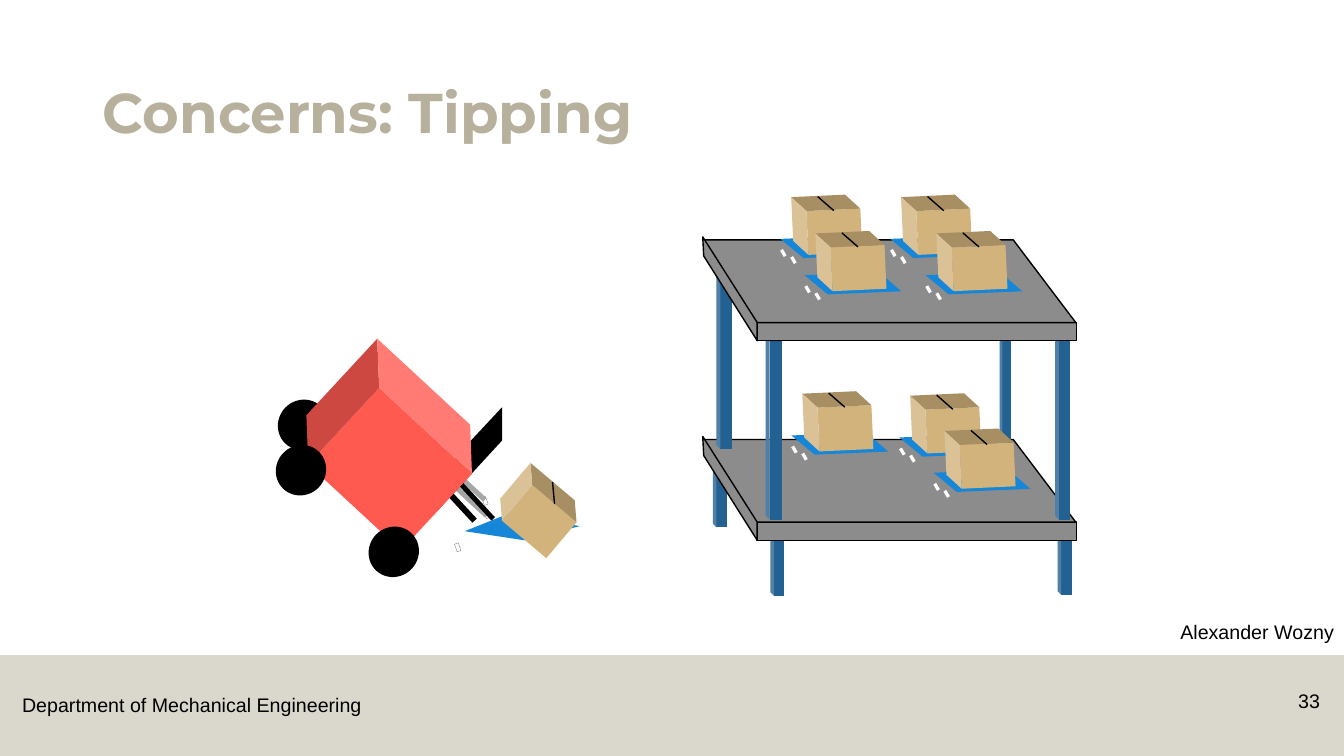
from lxml.etree import SubElement
from pptx import Presentation
from pptx.dml.color import RGBColor
from pptx.enum.shapes import MSO_CONNECTOR, MSO_SHAPE
from pptx.enum.text import MSO_ANCHOR, PP_ALIGN
from pptx.oxml.ns import qn
from pptx.util import Inches, Pt

BLACK, WHITE, SAND = "000000", "FFFFFF", "B7B09C"
STEEL, SHELF, CARTON, MAT, RED = "236192", "8C8C8C", "D3B37C", "1686D9", "FF5A50"
RECT, CUBE, OVAL = MSO_SHAPE.RECTANGLE, MSO_SHAPE.CUBE, MSO_SHAPE.OVAL

BODY = {"name": "Arial", "size": Pt(14), "bold": False}
HEADING = {"name": "Montserrat", "size": Pt(40), "bold": True}
LEFT, RIGHT = PP_ALIGN.LEFT, PP_ALIGN.RIGHT
TOP, BOTTOM = MSO_ANCHOR.TOP, MSO_ANCHOR.BOTTOM

LABELS = [
    ("Department of Mechanical Engineering", (0.12, 6.83, 3.59, 0.34), BODY, BLACK, LEFT, TOP, False),
    ("Concerns: Tipping", (0.92, 0.4, 11.5, 1.09), HEADING, SAND, LEFT, BOTTOM, True),
    ("33", (12.42, 6.79, 0.77, 0.4), BODY, BLACK, RIGHT, TOP, True),
    ("Alexander Wozny", (8.83, 6.1, 4.5, 0.4), BODY, BLACK, RIGHT, TOP, True),
]

SPILLED_MAT = [(4.61, 5.27), (5.2, 5.36), (5.75, 5.22), (5.06, 5.09)]
SPILLED_CARTON = (5.03, 4.7, 0.62, 0.73)
SPILLED_TAPE = [(5.48, 4.78), (5.5, 5)]
SPILLED_TAGS = [(4.83, 5.1), (4.81, 4.97)]
LOOSE_TAG = (4.54, 5.43)
GREY_FORKS = [(4.34, 4.75, 0.54, 0.05), (4.36, 4.91, 0.54, 0.05)]
BLACK_FORKS = [(4.06, 4.76, 0.99, 0.05), (3.8, 4.74, 1.08, 0.06)]
MAST = [(4.98, 4.04), (4.98, 4.37), (4.3, 5.11), (4.13, 4.95)]
TRUCK_BODY = (3.06, 3.72, 1.6, 1.38)
REAR_WHEEL = (2.76, 3.96)
NEAR_WHEELS = [(2.74, 4.41), (3.66, 5.22)]
TRUCK_TILT = 42.8

FEET = [(10.24, 5.51, 0.64, 0.14), (7.39, 5.52, 0.64, 0.14), (6.82, 4.84, 0.64, 0.14)]
POSTS = [(6.28, 3.47, 1.81, 0.16), (8.98, 3.48, 1.98, 0.11),
         (9.63, 4.17, 1.82, 0.15), (6.77, 4.17, 1.81, 0.16)]
UPPER_SHELF, LOWER_SHELF = 2.35, 4.33
SHELF_TOP = [(6.97, 0.03), (10.05, 0.03), (10.67, 0.85), (7.5, 0.85)]
SHELF_SIDE = [(6.97, 0), (7.51, 0.85), (7.51, 1.03), (6.98, 0.19)]

PALLETS = [(7.82, 2.06), (8.91, 2.06), (8.06, 2.42), (9.26, 2.42),
           (7.93, 4.01), (9, 4.03), (9.34, 4.38)]
PALLET_MAT = [(-0.08, 0.31), (0.15, 0.5), (0.88, 0.47), (0.66, 0.28)]
PALLET_TAPE = [(0.29, -0.11), (0.45, 0.03)]
PALLET_TAGS = [(0.05, 0.52), (-0.05, 0.45)]


def color(text):
    return RGBColor.from_string(text)


def paint(shape, fill, line=None, width=1):
    shape.shadow.inherit = False
    shape.fill.solid()
    shape.fill.fore_color.rgb = color(fill)
    if line:
        shape.line.color.rgb = color(line)
        shape.line.width = Pt(width)
    else:
        shape.line.fill.background()
    return shape


def solid(shapes, kind, place, fill, angle=0, line=None, width=1, flip=False):
    shape = shapes.add_shape(kind, *map(Inches, place))
    shape.rotation = angle
    if flip:
        shape._element.spPr.find(qn("a:xfrm")).set("flipH", "1")
    return paint(shape, fill, line, width)


def outline(shapes, points, fill, line=None, width=1):
    corners = [(Inches(x), Inches(y)) for x, y in points]
    builder = shapes.build_freeform(*corners[0])
    builder.add_line_segments(corners[1:], close=True)
    return paint(builder.convert_to_shape(), fill, line, width)


def shift(points, left, top):
    return [(left + x, top + y) for x, y in points]


def tape(shapes, ends):
    (x1, y1), (x2, y2) = ends
    strip = shapes.add_connector(MSO_CONNECTOR.STRAIGHT, *map(Inches, (x1, y1, x2, y2)))
    strip.line.color.rgb = color(BLACK)
    strip.line.width = Pt(1)
    SubElement(strip._element.spPr, qn("a:effectLst"))


def tag(shapes, center, angle):
    x, y = center
    solid(shapes, RECT, (x - 0.02, y - 0.04, 0.04, 0.08), WHITE, angle, "7F7F7F", 0.25)


def label(shapes, text, place, style, tint, align, anchor, wrap):
    box = shapes.add_textbox(*map(Inches, place))
    frame = box.text_frame
    frame.word_wrap = wrap
    frame.vertical_anchor = anchor
    para = frame.paragraphs[0]
    para.alignment = align
    if style is HEADING:
        para.line_spacing = 0.9
    span = para.add_run()
    span.text = text
    for name, value in style.items():
        setattr(span.font, name, value)
    span.font.color.rgb = color(tint)


def wheel(shapes, corner):
    solid(shapes, OVAL, (*corner, 0.49, 0.51), BLACK, TRUCK_TILT)


def draw_truck(shapes):
    outline(shapes, SPILLED_MAT, MAT)
    solid(shapes, CUBE, SPILLED_CARTON, CARTON, 310.2)
    tape(shapes, SPILLED_TAPE)
    for center in SPILLED_TAGS:
        tag(shapes, center, 340)
    for place in GREY_FORKS:
        solid(shapes, RECT, place, "A6A6A6", TRUCK_TILT)
    wheel(shapes, REAR_WHEEL)
    for place in BLACK_FORKS:
        solid(shapes, RECT, place, BLACK, 47.2)
    outline(shapes, MAST, BLACK)
    solid(shapes, CUBE, TRUCK_BODY, RED, TRUCK_TILT, flip=True)
    for corner in NEAR_WHEELS:
        wheel(shapes, corner)
    tag(shapes, LOOSE_TAG, 340)


def draw_shelf(shapes, legs, top):
    for place in legs:
        solid(shapes, CUBE, place, STEEL, 270)
    solid(shapes, RECT, (7.51, top + 0.85, 3.17, 0.18), SHELF, line=BLACK)
    for face in (SHELF_TOP, SHELF_SIDE):
        outline(shapes, shift(face, 0, top), SHELF, BLACK)


def draw_pallet(shapes, left, top):
    outline(shapes, shift(PALLET_MAT, left, top), MAT)
    solid(shapes, CUBE, (left + 0.09, top - 0.17, 0.58, 0.68), CARTON, 267.4)
    tape(shapes, shift(PALLET_TAPE, left, top))
    for center in shift(PALLET_TAGS, left, top):
        tag(shapes, center, 330)


def main():
    deck = Presentation()
    deck.slide_width, deck.slide_height = Inches(13.33), Inches(7.5)
    page = deck.slides.add_slide(deck.slide_layouts[6])
    footer = solid(page.shapes, RECT, (0, 6.5, 13.33, 1), SAND)
    tint = footer._element.spPr.find(qn("a:solidFill"))[0]
    SubElement(tint, qn("a:alpha")).set("val", "50000")
    for entry in LABELS:
        label(page.shapes, *entry)
    draw_truck(page.shapes.add_group_shape().shapes)
    rack = page.shapes.add_group_shape().shapes
    draw_shelf(rack, FEET, LOWER_SHELF)
    draw_shelf(rack, POSTS, UPPER_SHELF)
    for corner in PALLETS:
        draw_pallet(rack, *corner)
    deck.save("out.pptx")


if __name__ == "__main__":
    main()
